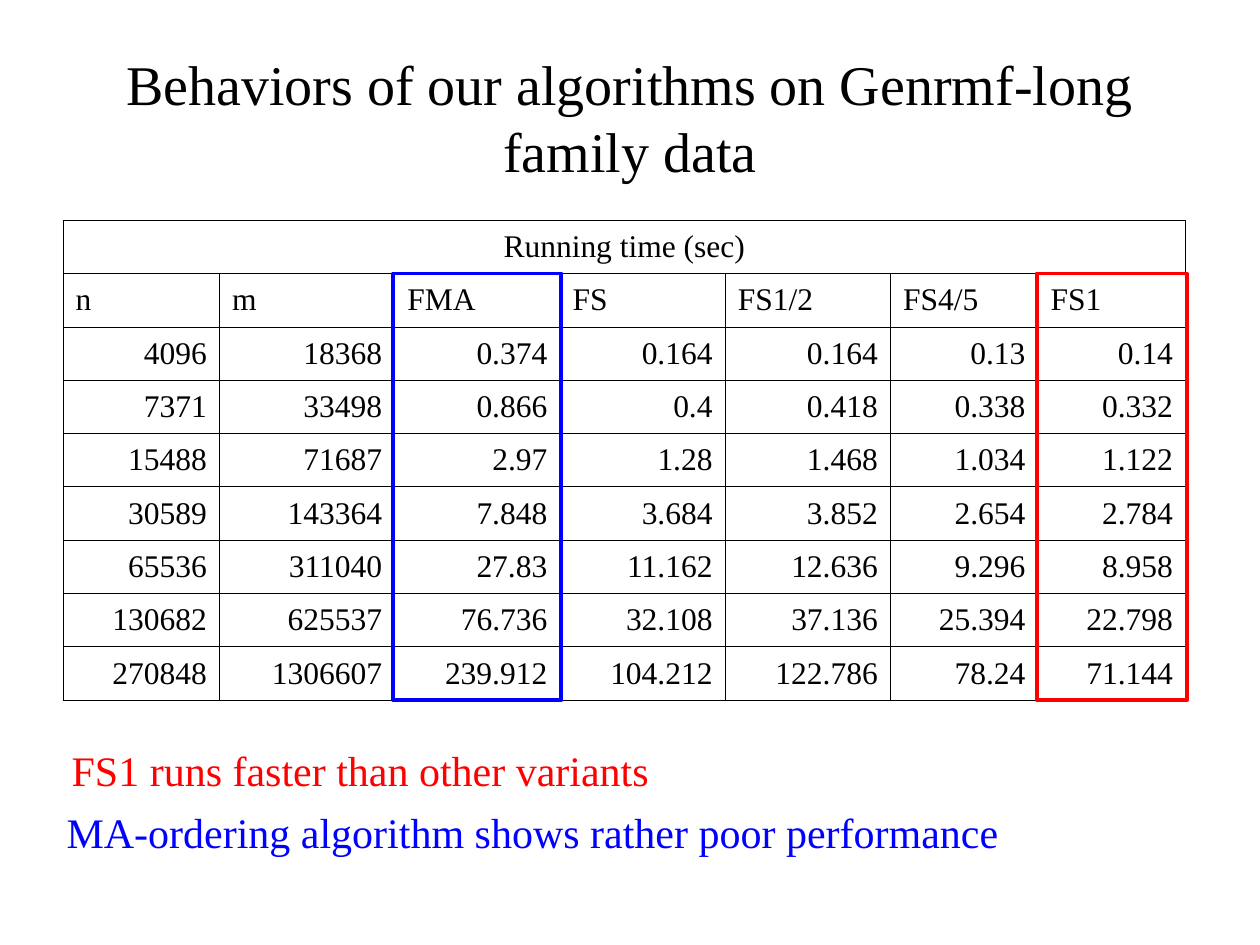
from dataclasses import dataclass
from itertools import accumulate

from lxml.etree import SubElement
from pptx import Presentation
from pptx.dml.color import RGBColor
from pptx.enum.shapes import MSO_SHAPE
from pptx.enum.text import MSO_ANCHOR, MSO_AUTO_SIZE, PP_ALIGN
from pptx.oxml.ns import qn
from pptx.util import Inches, Pt


@dataclass(frozen=True)
class Theme:
    font: str = "Times New Roman"
    ink: str = "000000"
    best: str = "FF0000"
    poor: str = "0000FF"
    title_size: int = 32
    note_size: int = 24
    cell_size: int = 18
    rule: float = 0.45
    heavy_rule: float = 0.96
    frame: float = 2.25


THEME = Theme()
WIDTH, HEIGHT = Inches(10), Inches(7.5)

# Boxes as shares of the slide: left, top, width, height
TITLE_BOX = (0.05, 0.04, 0.9, 0.167)
TABLE_BOX = (0.05, 0.233, 0.891, 0.508)
BEST_NOTE_BOX = (0.047, 0.781, 0.555, 0.067)
POOR_NOTE_BOX = (0.043, 0.847, 0.816, 0.067)

COLUMN_WEIGHTS = (1.24, 1.39, 1.31, 1.31, 1.31, 1.17, 1.17)
CAPTION = "Running time (sec)"
HEADINGS = ("n", "m", "FMA", "FS", "FS1/2", "FS4/5", "FS1")
TIMES = (
    ("4096", "18368", "0.374", "0.164", "0.164", "0.13", "0.14"),
    ("7371", "33498", "0.866", "0.4", "0.418", "0.338", "0.332"),
    ("15488", "71687", "2.97", "1.28", "1.468", "1.034", "1.122"),
    ("30589", "143364", "7.848", "3.684", "3.852", "2.654", "2.784"),
    ("65536", "311040", "27.83", "11.162", "12.636", "9.296", "8.958"),
    ("130682", "625537", "76.736", "32.108", "37.136", "25.394", "22.798"),
    ("270848", "1306607", "239.912", "104.212", "122.786", "78.24", "71.144"),
)
ROW_COUNT = len(TIMES) + 2
FMA, FS1 = HEADINGS.index("FMA"), HEADINGS.index("FS1")


def to_lengths(box):
    """Turn shares of the slide into lengths."""
    return [round(share * side) for share, side in zip(box, (WIDTH, HEIGHT) * 2)]


def apply(target, values):
    for name, value in values.items():
        setattr(target, name, value)


def write(text_frame, text, size, color, align=PP_ALIGN.LEFT):
    paragraph = text_frame.paragraphs[0]
    paragraph.text = text
    paragraph.alignment = align
    apply(paragraph.font, {"name": THEME.font, "size": Pt(size)})
    paragraph.font.color.rgb = RGBColor.from_string(color)


def add_title(slide, box, text):
    title = slide.shapes.title
    apply(title, dict(zip(("left", "top", "width", "height"), to_lengths(box))))
    apply(title.text_frame, {
        "word_wrap": True,
        "auto_size": MSO_AUTO_SIZE.NONE,
        "vertical_anchor": MSO_ANCHOR.MIDDLE,
    })
    write(title.text_frame, text, THEME.title_size, THEME.ink, PP_ALIGN.CENTER)


def set_borders(cell, widths):
    properties = cell._tc.get_or_add_tcPr()
    for side, width in widths.items():
        line = SubElement(properties, qn(f"a:ln{side}"), w=str(Pt(width)))
        fill = SubElement(line, qn("a:solidFill"))
        SubElement(fill, qn("a:srgbClr"), val=THEME.ink)


def format_cell(cell, row, column):
    # Heavier rules stand on both sides of the FMA column
    framed = row > 0
    left = framed and column in (FMA, FMA + 1)
    right = framed and column in (FMA - 1, FMA)
    set_borders(cell, {
        "L": THEME.heavy_rule if left else THEME.rule,
        "R": THEME.heavy_rule if right else THEME.rule,
        "T": THEME.rule,
        "B": THEME.rule,
    })
    cell.fill.background()
    apply(cell, {
        "vertical_anchor": MSO_ANCHOR.MIDDLE,
        "margin_left": Inches(0.1), "margin_right": Inches(0.1),
        "margin_top": Inches(0.05), "margin_bottom": Inches(0.05),
    })


def add_times_table(slide, box):
    left, top, width, height = to_lengths(box)
    table = slide.shapes.add_table(
        ROW_COUNT, len(HEADINGS), left, top, width, height).table
    apply(table, {"first_row": False, "horz_banding": False})
    for column, weight in zip(table.columns, COLUMN_WEIGHTS):
        column.width = round(width * weight / sum(COLUMN_WEIGHTS))
    for row in table.rows:
        row.height = round(height / ROW_COUNT)
    for row in range(ROW_COUNT):
        for column in range(len(HEADINGS)):
            format_cell(table.cell(row, column), row, column)

    # Caption across the full width, then headings and figures
    caption = table.cell(0, 0)
    caption.merge(table.cell(0, len(HEADINGS) - 1))
    write(caption.text_frame, CAPTION, THEME.cell_size, THEME.ink, PP_ALIGN.CENTER)
    for row, values in enumerate((HEADINGS, *TIMES), start=1):
        align = PP_ALIGN.LEFT if row == 1 else PP_ALIGN.RIGHT
        for column, value in enumerate(values):
            write(table.cell(row, column).text_frame, value,
                  THEME.cell_size, THEME.ink, align)


def add_column_frame(slide, table_box, column, color):
    """Frame one table column from its heading to the last row."""
    left, top, width, height = to_lengths(table_box)
    edges = [0, *accumulate(COLUMN_WEIGHTS)]
    unit, row_height = width / edges[-1], height / ROW_COUNT
    margin = Inches(0.01)
    frame = slide.shapes.add_shape(
        MSO_SHAPE.RECTANGLE,
        round(left + edges[column] * unit) - margin,
        round(top + row_height),
        round(COLUMN_WEIGHTS[column] * unit) + 2 * margin,
        round(height - row_height))
    frame.shadow.inherit = False
    frame.fill.background()
    frame.line.color.rgb = RGBColor.from_string(color)
    frame.line.width = Pt(THEME.frame)


def add_note(slide, box, text, color):
    note = slide.shapes.add_textbox(*to_lengths(box))
    apply(note.text_frame, {
        "word_wrap": True, "auto_size": MSO_AUTO_SIZE.SHAPE_TO_FIT_TEXT})
    write(note.text_frame, text, THEME.note_size, color)


def main():
    presentation = Presentation()
    apply(presentation, {"slide_width": WIDTH, "slide_height": HEIGHT})
    slide = presentation.slides.add_slide(presentation.slide_layouts[5])
    add_title(slide, TITLE_BOX,
              "Behaviors of our algorithms on Genrmf-long family data")
    add_times_table(slide, TABLE_BOX)
    add_column_frame(slide, TABLE_BOX, FS1, THEME.best)
    add_note(slide, BEST_NOTE_BOX, "FS1 runs faster than other variants", THEME.best)
    add_column_frame(slide, TABLE_BOX, FMA, THEME.poor)
    add_note(slide, POOR_NOTE_BOX,
             "MA-ordering algorithm shows rather poor performance", THEME.poor)
    presentation.save("out.pptx")


if __name__ == "__main__":
    main()
